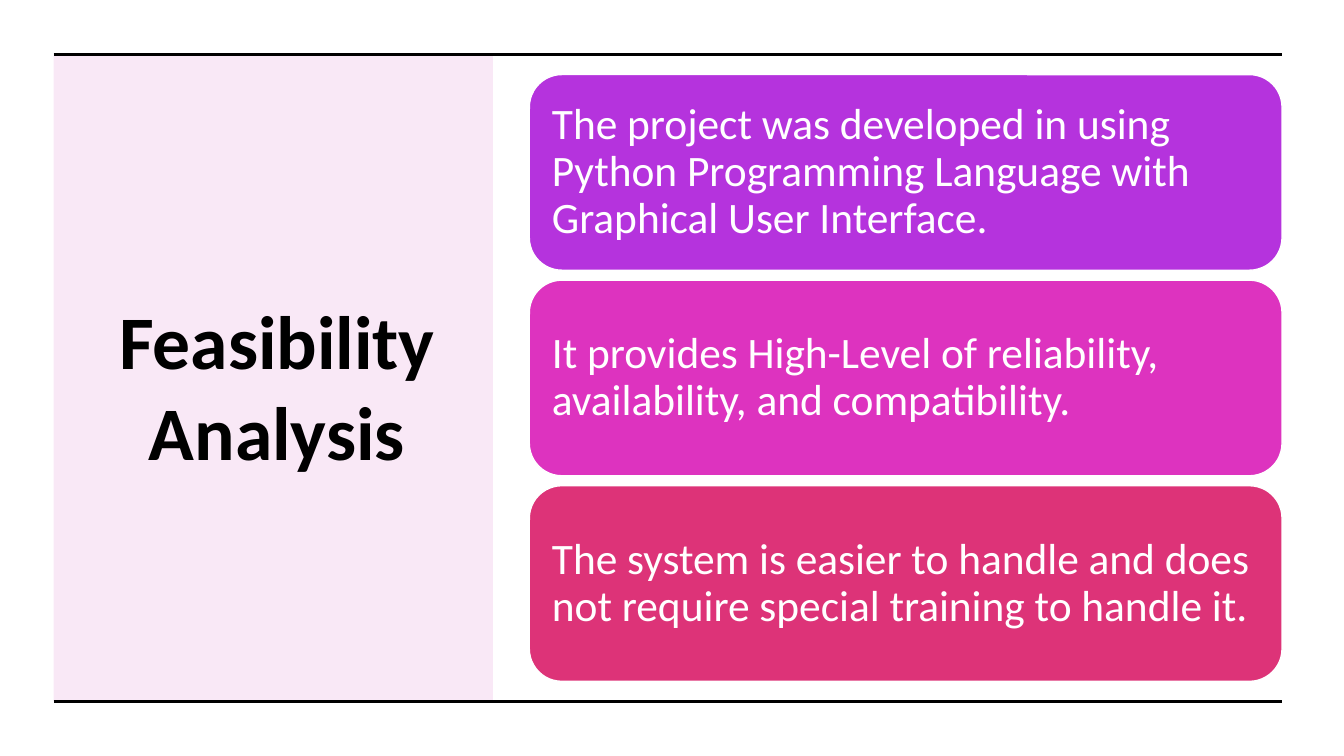
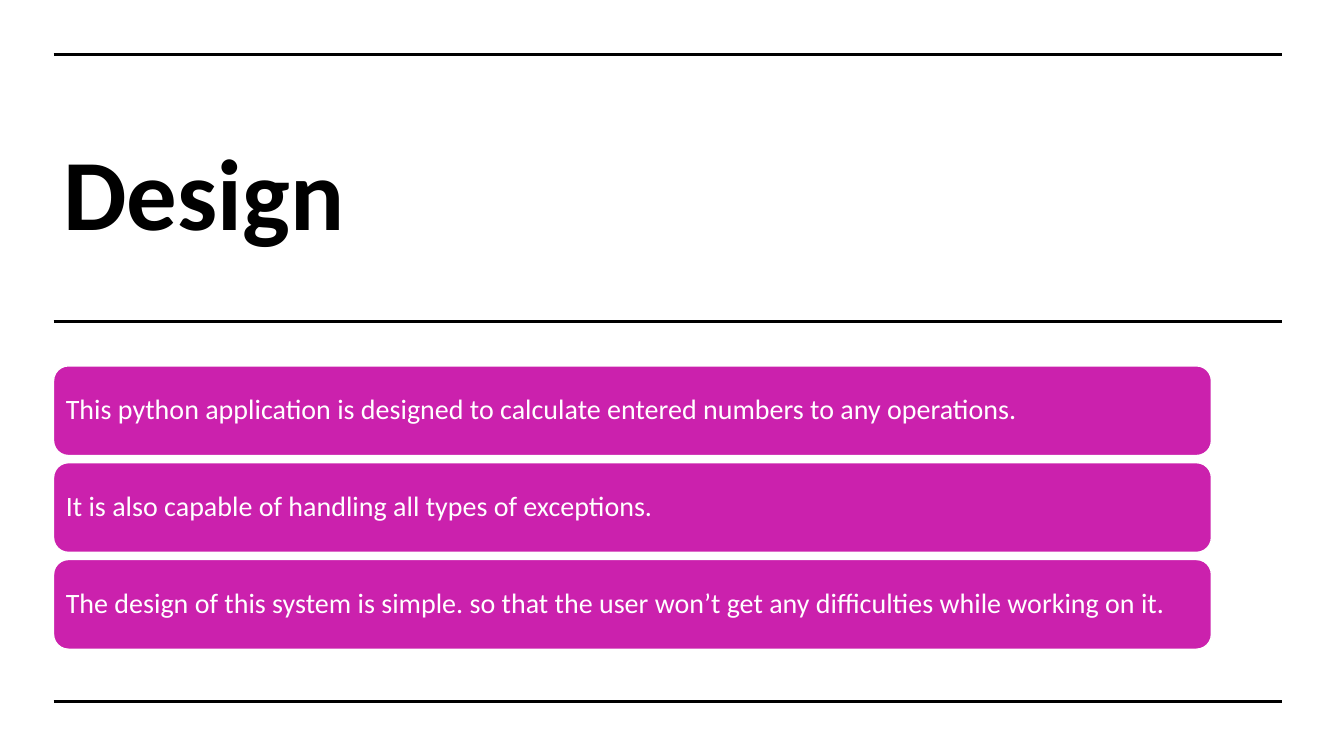
from dataclasses import dataclass

from lxml import etree
from pptx import Presentation
from pptx.dml.color import RGBColor
from pptx.enum.shapes import MSO_CONNECTOR, MSO_SHAPE
from pptx.enum.text import MSO_ANCHOR, PP_ALIGN
from pptx.oxml.ns import qn
from pptx.util import Cm, Pt

RECT = MSO_SHAPE.RECTANGLE
ROUND = MSO_SHAPE.ROUNDED_RECTANGLE
LINE = MSO_CONNECTOR.STRAIGHT
MIDDLE = MSO_ANCHOR.MIDDLE
LEFT = PP_ALIGN.LEFT
CENTER = PP_ALIGN.CENTER

FONT = "Calibri"
BLACK = "000000"
WHITE = "FFFFFF"
ACCENT = "CB21AD"

WIDTH, HEIGHT = 33.87, 19.05
EDGE, RIGHT = 1.35, 32.31
TOP, BOTTOM = 1.37, 17.68


@dataclass
class Box:
    left: float
    top: float
    width: float
    height: float

    def lengths(self) -> tuple:
        return Cm(self.left), Cm(self.top), Cm(self.width), Cm(self.height)


@dataclass
class Card:
    text: str
    fill: str = ACCENT


@dataclass
class Stack:
    first: Box
    step: float
    size: float
    inset: float
    cards: list[Card]


def color(code: str) -> RGBColor:
    return RGBColor.from_string(code)


def write(shape, text: str, *, size: float, fill: str = BLACK, bold: bool = False,
          align=LEFT, inset: float = 0.25, side: float = 0.25,
          space: float = 1, after: float = 0) -> None:
    frame = shape.text_frame
    frame.word_wrap = True
    frame.vertical_anchor = MIDDLE
    frame.margin_left = frame.margin_right = Cm(side)
    frame.margin_top = frame.margin_bottom = Cm(inset)
    para = frame.paragraphs[0]
    para.alignment = align
    para.line_spacing = space
    para.space_after = Pt(after)
    run = para.add_run()
    run.text = text
    font = run.font
    font.name = FONT
    font.size = Pt(size)
    font.bold = bold
    font.color.rgb = color(fill)


def add_block(slide, kind, box: Box, fill: str):
    shape = slide.shapes.add_shape(kind, *box.lengths())
    shape.shadow.inherit = False
    shape.fill.solid()
    shape.fill.fore_color.rgb = color(fill)
    shape.line.fill.background()
    return shape


def add_panel(slide, box: Box) -> None:
    panel = add_block(slide, RECT, box, ACCENT)
    tint = next(panel.element.spPr.iter(qn("a:srgbClr")))
    etree.SubElement(tint, qn("a:alpha")).set("val", "10000")


def add_title(slide, text: str, box: Box, size: float, align=LEFT) -> None:
    title = slide.shapes.add_textbox(*box.lengths())
    write(title, text, size=size, bold=True, align=align, inset=0.13, after=6)


def add_rules(slide, *levels: float) -> None:
    for level in (TOP, *levels, BOTTOM):
        rule = slide.shapes.add_connector(LINE, Cm(EDGE), Cm(level), Cm(RIGHT), Cm(level))
        rule.line.color.rgb = color(BLACK)
        rule.line.width = Pt(2.25)
        etree.SubElement(rule.element.spPr, qn("a:effectLst"))


def add_stack(slide, stack: Stack) -> None:
    first = stack.first
    for index, card in enumerate(stack.cards):
        top = first.top + index * stack.step
        box = Box(first.left, top, first.width, first.height)
        shape = add_block(slide, ROUND, box, card.fill)
        shape.line.color.rgb = color(WHITE)
        shape.line.width = Pt(1)
        write(shape, card.text, size=stack.size, fill=WHITE,
              inset=stack.inset, side=stack.inset, space=0.9)


def add_study(slide) -> None:
    add_panel(slide, Box(EDGE, TOP, 11.07, BOTTOM - TOP))
    add_title(slide, "Feasibility Analysis", Box(1.88, 2.72, 10.21, 13.97), 54, CENTER)
    add_rules(slide)
    add_stack(slide, Stack(Box(13.34, 1.88, 18.97, 4.93), 5.18, 31, 0.33, [
        Card("The project was developed in using Python Programming Language "
             "with Graphical User Interface.", "B533DD"),
        Card("It provides High-Level of reliability, availability, and compatibility.",
             "DD33BF"),
        Card("The system is easier to handle and does not require special training "
             "to handle it.", "DD3378"),
    ]))


def add_design(slide) -> None:
    add_title(slide, "Design", Box(EDGE, 2.72, 23.37, 4.14), 72)
    add_rules(slide, 8.1)
    add_stack(slide, Stack(Box(EDGE, 9.22, 29.18, 2.26), 2.44, 20, 0.2, [
        Card("This python application is designed to calculate entered numbers "
             "to any operations."),
        Card("It is also capable of handling all types of exceptions."),
        Card("The design of this system is simple. so that the user won’t get any "
             "difficulties while working on it."),
    ]))


def main() -> None:
    deck = Presentation()
    deck.slide_width = Cm(WIDTH)
    deck.slide_height = Cm(HEIGHT)
    blank = deck.slide_layouts[6]
    for build in (add_study, add_design):
        build(deck.slides.add_slide(blank))
    deck.save("out.pptx")


if __name__ == "__main__":
    main()
